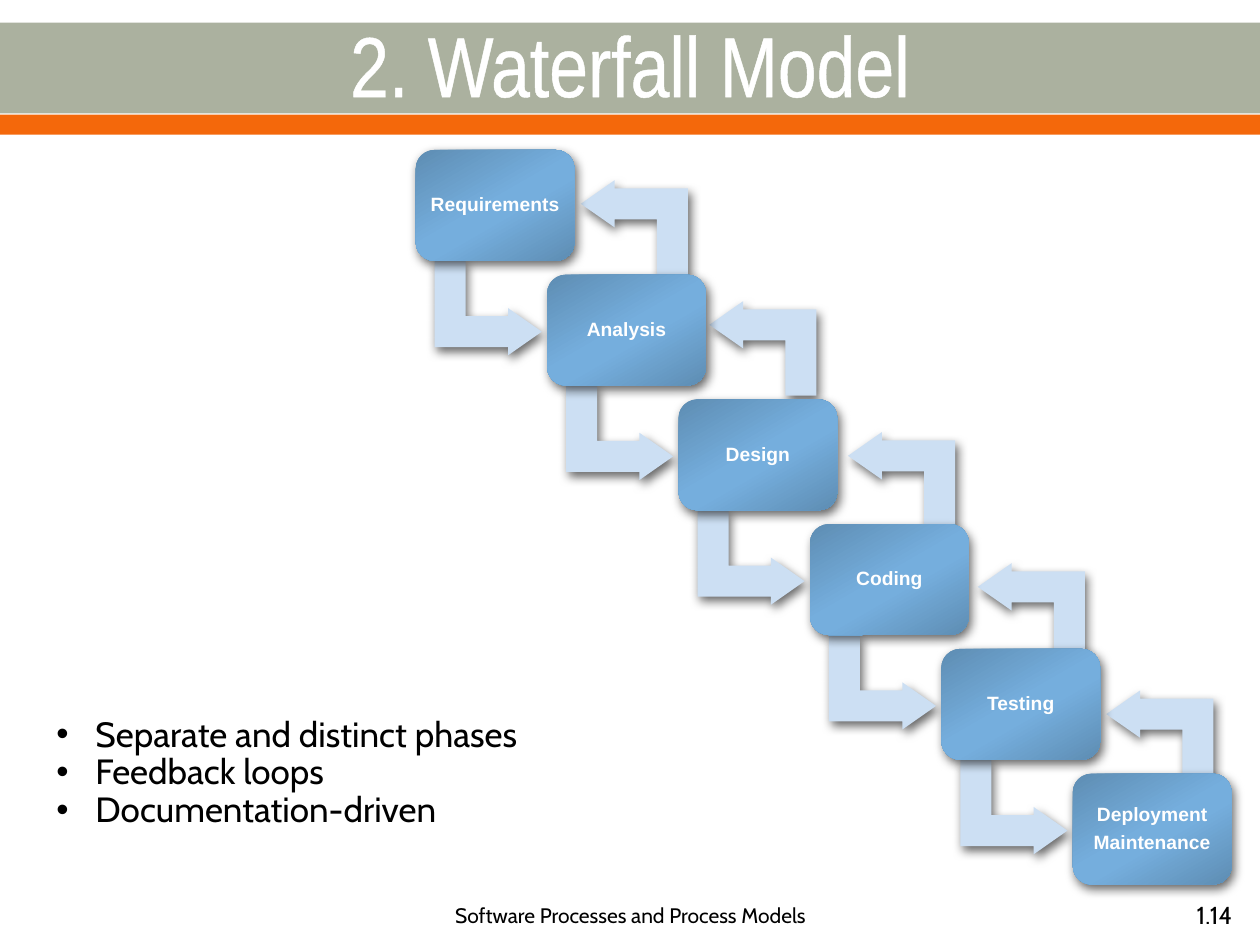
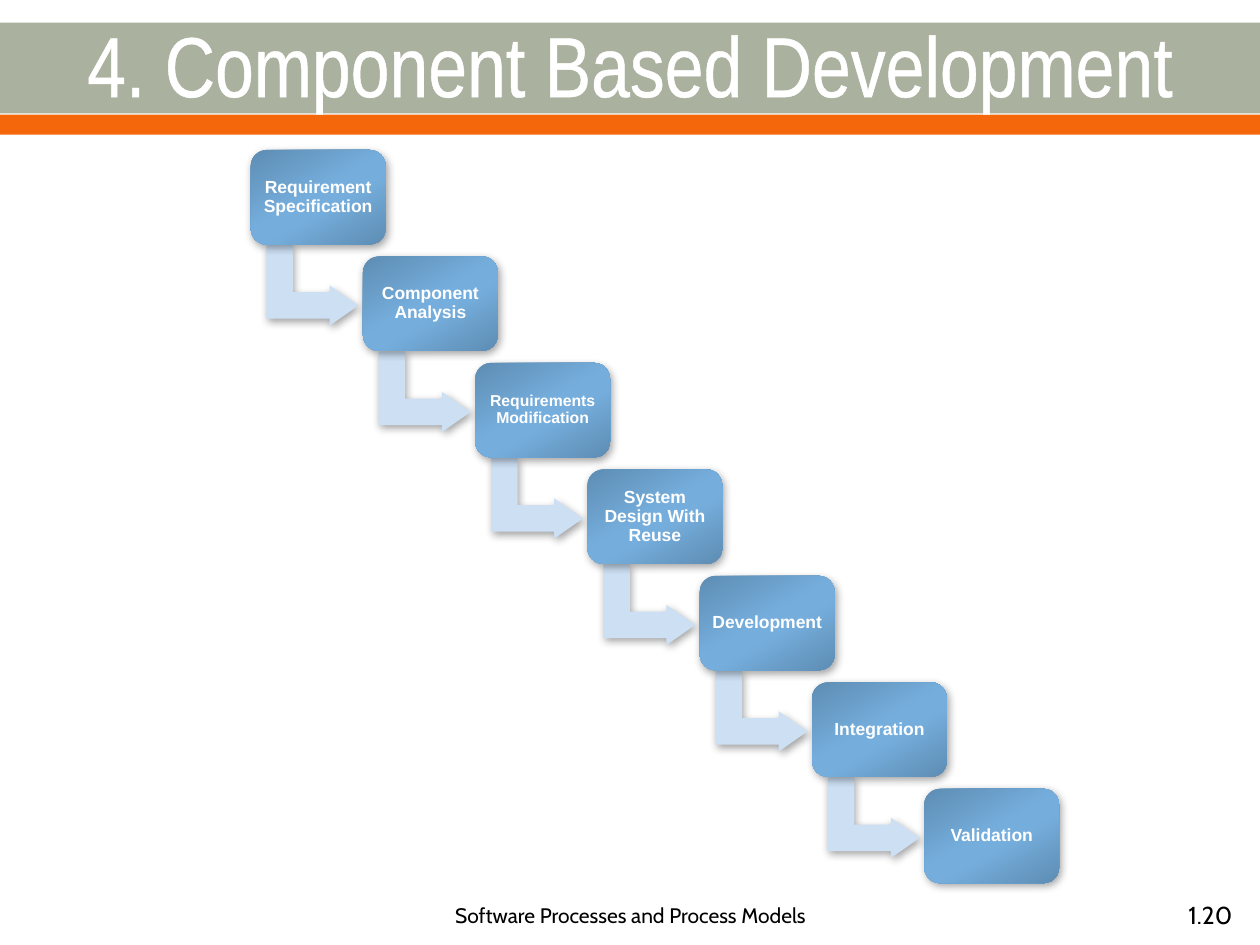
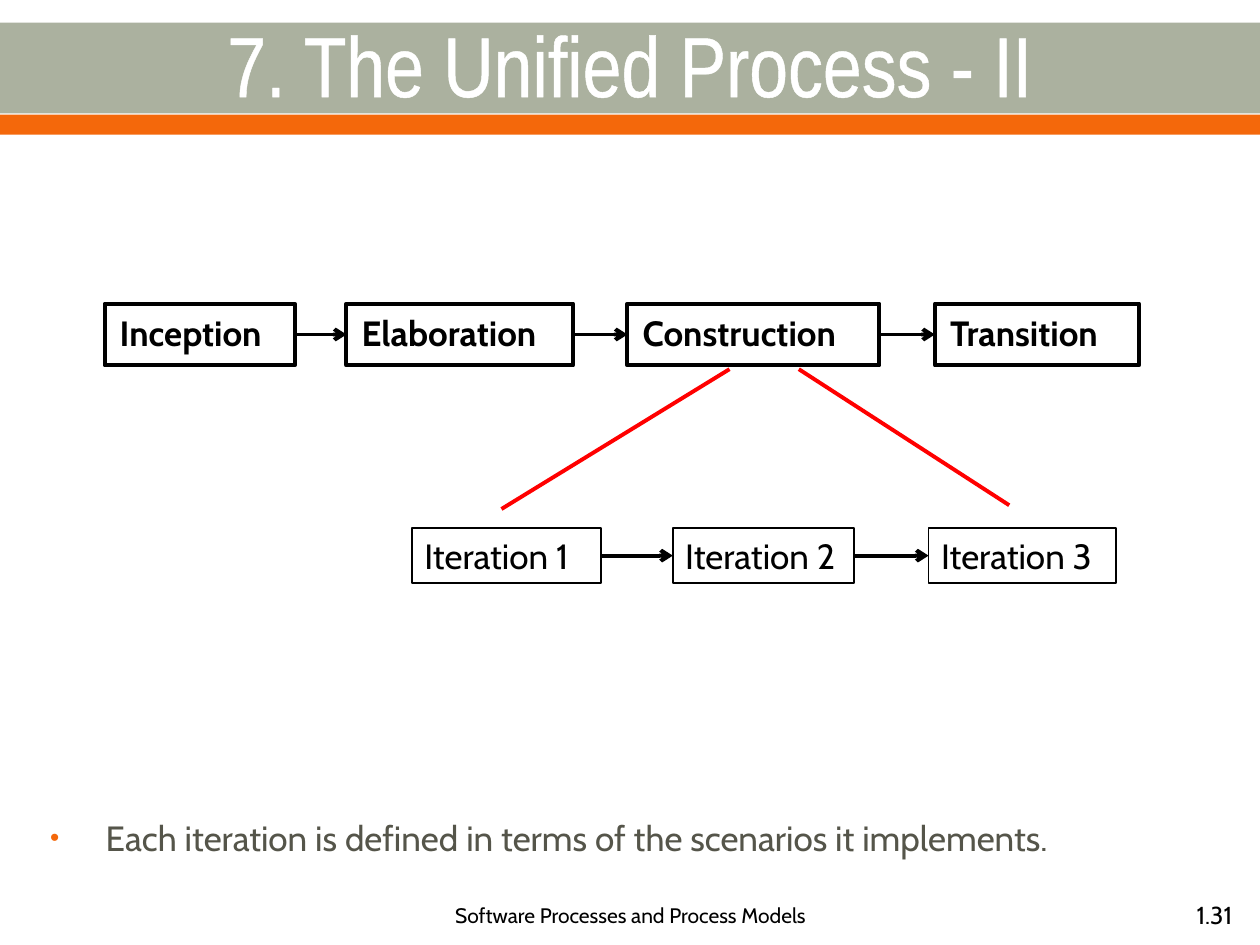
from dataclasses import dataclass

from lxml import etree
from pptx import Presentation
from pptx import util as u
from pptx.dml.color import RGBColor
from pptx.enum import shapes, text
from pptx.oxml.ns import qn

COLS, ROWS = 100, 75  # grid cells across and down the slide


@dataclass(frozen=True)
class Theme:
    sage: str = "ABB19F"
    orange: str = "F4680B"
    white: str = "FFFFFF"
    black: str = "000000"
    red: str = "FF0000"
    olive: str = "55554A"
    pale: str = "CCDFF3"
    steps: tuple = ((0, "5E8DB3"), (48, "75AEDD"), (58, "75AEDD"), (100, "5E8DB3"))
    head: str = "Arial Narrow"
    body: str = "Cabin"
    label: str = "Arial"
    title: float = 48.6
    text: float = 20
    page: float = 14
    foot: float = 12
    bold: float = 2.25
    thin: float = 1


@dataclass(frozen=True)
class Stair:
    """Measures of a falling row of steps, in grid cells."""
    left: float
    top: float
    dx: float
    dy: float
    size: tuple
    bend: tuple   # width and height of a bent arrow
    shift: tuple  # from a step to its arrow
    pad: float
    font: float
    shade: tuple  # opacity, blur, distance


def sub(node, tag, **attrs):
    return etree.SubElement(node, qn(tag), {k: str(v) for k, v in attrs.items()})


def tint(node, color):
    return sub(node, "a:srgbClr", val=color)


class Deck:
    def __init__(self, theme):
        self.t = theme
        self.prs = Presentation()
        self.prs.slide_width, self.prs.slide_height = u.Inches(10), u.Inches(7.5)
        self.slide = None

    def x(self, cols):
        return round(self.prs.slide_width * cols / COLS)

    def y(self, rows):
        return round(self.prs.slide_height * rows / ROWS)

    def area(self, left, top, wide, high):
        return self.x(left), self.y(top), self.x(wide), self.y(high)

    # Slide frame: bands, title, footer and page number
    def page(self, title, number):
        t = self.t
        self.slide = self.prs.slides.add_slide(self.prs.slide_layouts[6])
        for top, high, color in ((1.8, 7.2, t.sage), (9.1, 1.6, t.orange)):
            self.shape("RECTANGLE", (0, top, COLS, high), color)
        mid = text.MSO_ANCHOR.MIDDLE
        head = self.note((0, 1.9, COLS, 6.2), [title], t.title, t.head, t.white,
                         align="CENTER", anchor=mid)
        font = head.paragraphs[0]._p.pPr.find(qn("a:defRPr"))
        edge = etree.Element(qn("a:ln"), w=str(u.Pt(1.1)))
        tint(sub(edge, "a:solidFill"), t.white)
        font.insert(0, edge)
        self.note((34.2, 70.6, 31.7, 4), ["Software Processes and Process Models"],
                  t.foot, align="CENTER", anchor=mid)
        self.note((81.5, 70.6, 17.3, 4), [number], t.page, align="RIGHT", anchor=mid)

    # Text
    def put(self, frame, lines, size, face=None, color=None, bold=False,
            align="LEFT", anchor=text.MSO_ANCHOR.TOP, pad=(1, 0.5),
            space=None, after=None, bullet=None):
        t = self.t
        frame.word_wrap = True
        frame.vertical_anchor = anchor
        frame.margin_left = frame.margin_right = self.x(pad[0])
        frame.margin_top = frame.margin_bottom = self.y(pad[1])
        frame.text = "\n".join(lines)
        for par in frame.paragraphs:
            par.alignment = getattr(text.PP_ALIGN, align)
            par.line_spacing = space
            if after:
                par.space_after = u.Pt(after)
            if bullet:
                self.dot(par, *bullet)
            font = par.font
            font.size, font.bold = u.Pt(size), bold
            font.name = face or t.body
            font.color.rgb = RGBColor.from_string(color or t.black)
        return frame

    def dot(self, par, indent, color, scale):
        prop = par._p.get_or_add_pPr()
        prop.set("marL", str(self.x(indent)))
        prop.set("indent", str(-self.x(indent)))
        tint(sub(prop, "a:buClr"), color)
        sub(prop, "a:buSzPct", val=scale * 1000)
        sub(prop, "a:buFont", typeface=self.t.label)
        sub(prop, "a:buChar", char="•")

    def note(self, area, lines, size, face=None, color=None, **style):
        box = self.slide.shapes.add_textbox(*self.area(*area))
        return self.put(box.text_frame, lines, size, face, color, **style)

    # Shapes
    def shape(self, kind, area, fill=None, line=None, shade=None):
        form = getattr(shapes.MSO_SHAPE, kind)
        item = self.slide.shapes.add_shape(form, *self.area(*area))
        item.shadow.inherit = False
        if fill:
            item.fill.solid()
            item.fill.fore_color.rgb = RGBColor.from_string(fill)
        else:
            item.fill.background()
        if line:
            item.line.color.rgb = RGBColor.from_string(self.t.black)
            item.line.width = u.Pt(line)
        else:
            item.line.fill.background()
        if shade:
            alpha, blur, dist = shade
            drop = sub(item._element.spPr.find(qn("a:effectLst")), "a:outerShdw",
                       blurRad=u.Pt(blur), dist=u.Pt(dist), dir=60 * 60000,
                       algn="ctr", rotWithShape=0)
            sub(tint(drop, self.t.black), "a:alpha", val=alpha * 1000)
        return item

    def bend(self, left, top, stair, turn):
        item = self.shape("BENT_UP_ARROW", (left, top, *stair.bend),
                          self.t.pale, shade=stair.shade)
        item.rotation = turn
        for i, value in enumerate((0.328, 0.25, 0.358)):
            item.adjustments[i] = value

    def step(self, left, top, stair, lines, size):
        item = self.shape("ROUNDED_RECTANGLE", (left, top, *stair.size),
                          shade=stair.shade)
        item.adjustments[0] = 0.167
        item.fill.gradient()
        item.fill.gradient_angle = 300
        stops = item._element.spPr.find(".//" + qn("a:gsLst"))
        for stop in list(stops):
            stops.remove(stop)
        for place, color in self.t.steps:
            tint(sub(stops, "a:gs", pos=place * 1000), color)
        self.put(item.text_frame, lines, size, self.t.label, self.t.white,
                 bold=True, align="CENTER", anchor=text.MSO_ANCHOR.MIDDLE,
                 pad=(stair.pad, stair.pad), space=0.9, after=round(size * 0.35, 1))

    def stairs(self, stair, names, small=()):
        for i, name in enumerate(names):
            left, top = stair.left + i * stair.dx, stair.top + i * stair.dy
            if i < len(names) - 1:
                self.bend(left + stair.shift[0], top + stair.shift[1], stair, 90)
            size = stair.font - (name in small)
            self.step(left, top, stair, name.split("\n"), size)

    def chain(self, top, high, cells, line, pad, bold=False):
        last = None
        for name, left, wide in cells:
            box = self.shape("RECTANGLE", (left, top, wide, high), line=line)
            self.put(box.text_frame, [name], self.t.text, bold=bold, pad=pad)
            if last:
                link = self.line((0, 0), (0, 0), self.t.black, arrow=True)
                link.begin_connect(last, 3)
                link.end_connect(box, 1)
            last = box

    def line(self, start, end, color, arrow=False):
        link = self.slide.shapes.add_connector(
            shapes.MSO_CONNECTOR.STRAIGHT, self.x(start[0]), self.y(start[1]),
            self.x(end[0]), self.y(end[1]))
        link.line.color.rgb = RGBColor.from_string(color)
        link.line.width = u.Pt(self.t.bold)
        prop = link._element.spPr
        if arrow:
            sub(prop.find(qn("a:ln")), "a:tailEnd", type="arrow")
        sub(prop, "a:effectLst")
        return link


def main():
    t = Theme()
    deck = Deck(t)

    # Waterfall: feedback arrows, steps, remarks
    deck.page("2. Waterfall Model", "1.14")
    fall = Stair(33, 11.9, 10.43, 9.9, (12.6, 8.8), (7.5, 8.5), (2, 8.3),
                 0.5, 11, (60, 6, 3))
    for left, top in ((56.8, 23.4), (67.8, 33.8), (78.1, 44.2), (88.3, 54.3),
                      (46.6, 13.8)):
        deck.bend(left, top, fall, 270)
    deck.stairs(fall, ("Requirements", "Analysis", "Design", "Coding", "Testing",
                       "Deployment\nMaintenance"))
    deck.note((3.5, 56.4, 50, 10.1),
              ["Separate and distinct phases", "Feedback loops", "Documentation-driven"],
              t.text, space=0.9, bullet=(3.1, t.black, 100))

    # Component based development: steps
    deck.page("4. Component Based Development", "1.20")
    parts = Stair(19.9, 11.9, 8.91, 8.45, (10.7, 7.5), (6.4, 7.3), (1.7, 7.1),
                  0.4, 10, (36, 5, 2))
    change = "Requirements Modification"
    deck.stairs(parts, ("Requirement Specification", "Component Analysis", change,
                        "System Design With Reuse", "Development", "Integration",
                        "Validation"), small=(change,))

    # Unified process: phases, iterations of one phase, remark
    deck.page("7. The Unified Process - II", "1.31")
    deck.chain(24.1, 4.9, (("Inception", 8.3, 15.1), ("Elaboration", 27.5, 18),
                           ("Construction", 49.8, 20), ("Transition", 74.2, 16.2)),
               t.bold, (1.2, 0.6), bold=True)
    deck.line((57.9, 29.3), (39.8, 40.4), t.red)
    deck.line((63.4, 29.3), (80.1, 40.1), t.red)
    deck.chain(41.9, 4.4, (("Iteration 1", 32.7, 15), ("Iteration 2", 53.4, 14.4),
                           ("Iteration 3", 73.7, 14.9)), t.thin, (1, 0.5))
    deck.note((3, 64.3, 93.2, 4.4),
              ["Each iteration is defined in terms of the scenarios it implements."],
              t.text, color=t.olive, bullet=(4.4, t.orange, 75))

    deck.prs.save("out.pptx")


if __name__ == "__main__":
    main()
